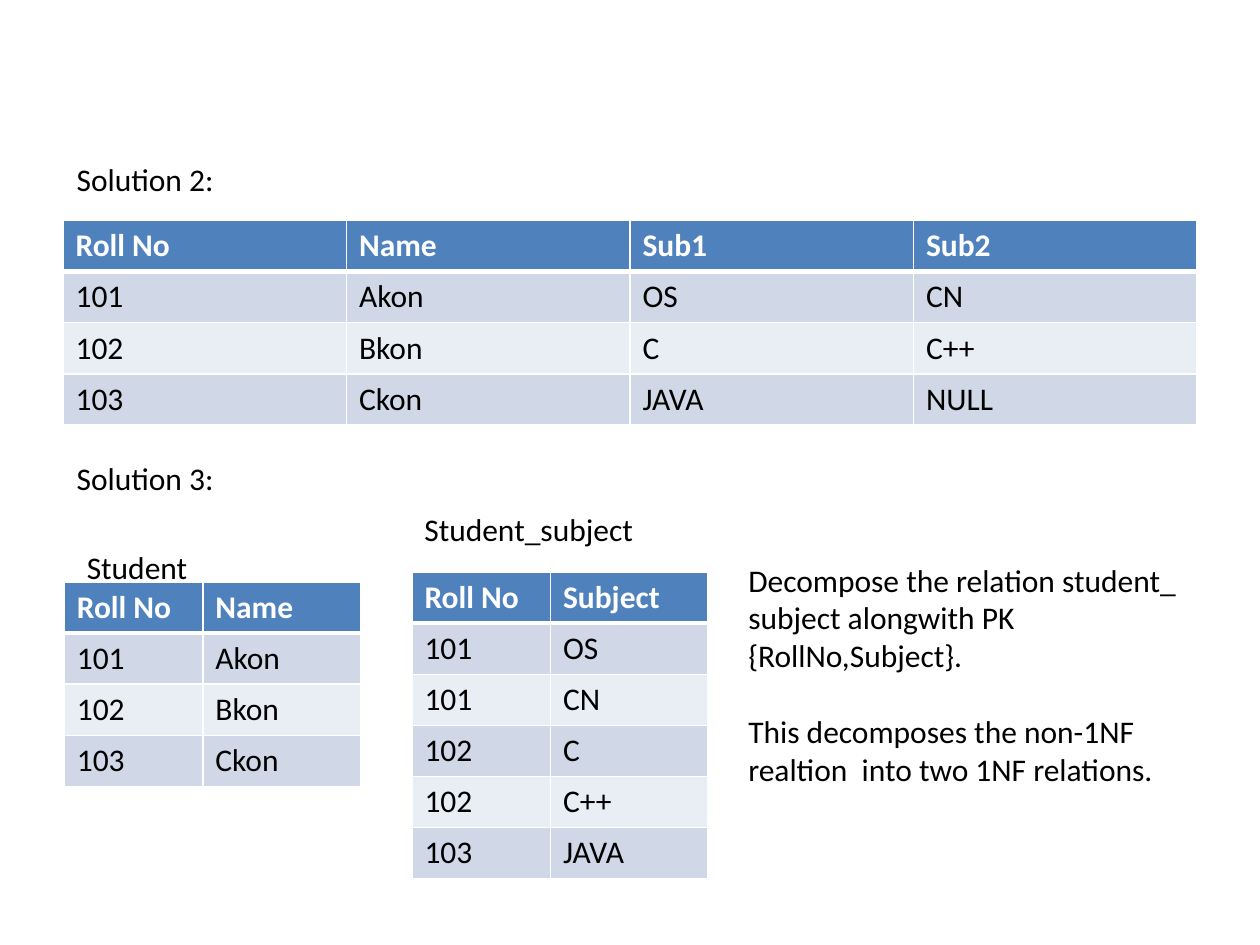
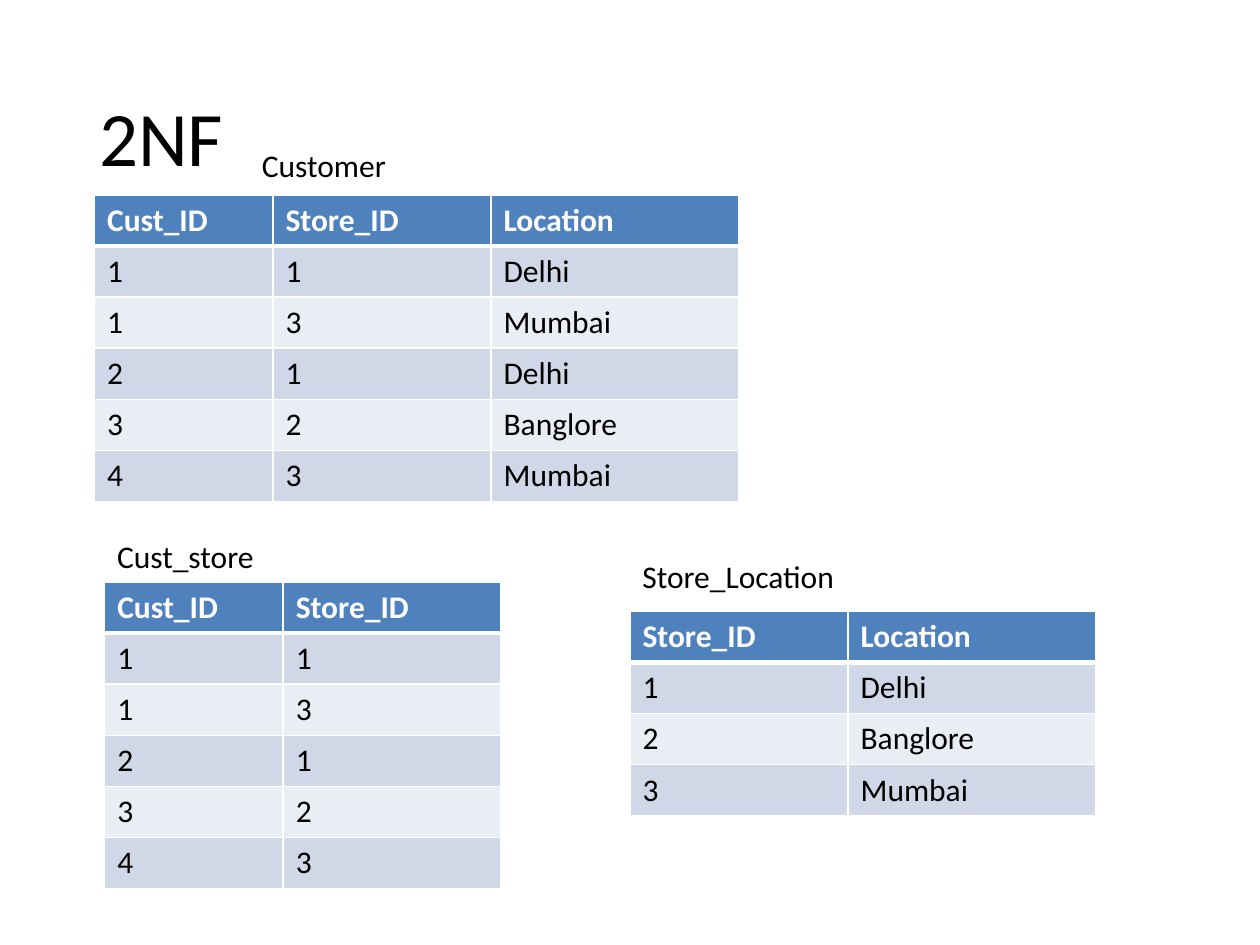
from pptx import Presentation
from pptx.dml.color import RGBColor
from pptx.enum.text import MSO_ANCHOR, MSO_AUTO_SIZE
from pptx.oxml import parse_xml
from pptx.oxml.ns import nsdecls
from pptx.util import Pt

MIDDLE, TOP = MSO_ANCHOR.MIDDLE, MSO_ANCHOR.TOP
FIT_SHAPE, FIXED = MSO_AUTO_SIZE.SHAPE_TO_FIT_TEXT, MSO_AUTO_SIZE.NONE

BLACK = RGBColor(0x00, 0x00, 0x00)
WHITE = RGBColor(0xFF, 0xFF, 0xFF)
HEADER = RGBColor(0x4F, 0x81, 0xBD)
BANDS = RGBColor(0xD0, 0xD8, 0xE8), RGBColor(0xE9, 0xED, 0xF4)
FONT = "Calibri"
ROW_H = 29.2
LABEL_H = 29


def add_text(s, text, x, y, w, h=LABEL_H, size=18, wrap=False, anchor=TOP,
             fit=FIT_SHAPE, line_spacing=None, gaps=()):
    """Each line of text is a paragraph; gaps gives the space before it."""
    tf = s.shapes.add_textbox(Pt(x), Pt(y), Pt(w), Pt(h)).text_frame
    tf.word_wrap, tf.auto_size, tf.vertical_anchor = wrap, fit, anchor
    tf.text = text
    for p in tf.paragraphs:
        p.font.name, p.font.size, p.font.color.rgb = FONT, Pt(size), BLACK
        p.line_spacing = line_spacing
    for p, gap in zip(tf.paragraphs, gaps):
        if gap:
            p.space_before = Pt(gap)


def add_grid(s, x, y, widths, rows):
    """Table with a header row, banded body rows and white rules."""
    table = s.shapes.add_table(len(rows), len(widths), Pt(x), Pt(y),
                               Pt(sum(widths)), Pt(ROW_H * len(rows))).table
    for column, width in zip(table.columns, widths):
        column.width = Pt(width)
    for i, row in enumerate(rows):
        table.rows[i].height = Pt(ROW_H)
        for j, text in enumerate(row):
            cell = table.cell(i, j)
            for side in "LRTB":
                # The rule between header and body is the thick one.
                thick = (i, side) in ((0, "B"), (1, "T"))
                cell._tc.get_or_add_tcPr().append(parse_xml(
                    f'<a:ln{side} {nsdecls("a")} w="{Pt(3 if thick else 1)}">'
                    f'<a:solidFill><a:srgbClr val="{WHITE}"/></a:solidFill>'
                    f'</a:ln{side}>'))
            cell.fill.solid()
            cell.fill.fore_color.rgb = BANDS[(i - 1) % 2] if i else HEADER
            cell.text = text
            font = cell.text_frame.paragraphs[0].font
            font.name, font.size, font.bold = FONT, Pt(18), i == 0
            font.color.rgb = BLACK if i else WHITE


prs = Presentation()
prs.slide_width, prs.slide_height = Pt(720), Pt(540)
blank = prs.slide_layouts[6]

# Slide 1: reaching first normal form
s = prs.slides.add_slide(blank)
students = [("Roll No", "Name", "Sub1", "Sub2"),
            ("101", "Akon", "OS", "CN"),
            ("102", "Bkon", "C", "C++"),
            ("103", "Ckon", "JAVA", "NULL")]
student_subject = [("Roll No", "Subject"), ("101", "OS"), ("101", "CN"),
                   ("102", "C"), ("102", "C++"), ("103", "JAVA")]
student_widths = [79.2, 90]

add_grid(s, 36, 126, [162] * 4, students)
add_grid(s, 36.7, 332.6, student_widths, [row[:2] for row in students])
add_grid(s, 235.4, 326.9, student_widths, student_subject)
for label, x, y, w in [("Solution 2:", 36.7, 87.8, 93.6),
                       ("Solution 3:", 36.7, 258.5, 93.6),
                       ("Student", 42.5, 309.6, 72.7),
                       ("Student_subject", 235.4, 288, 135.4)]:
    add_text(s, label, x, y, w)
add_text(s, "Decompose the relation student_\n"
            "subject alongwith PK {RollNo,Subject}.\n"
            "This decomposes the non-1NF realtion  into two 1NF relations.",
         420.5, 316.8, 279.4, 138.2, wrap=True, gaps=(0, 0, 22))

# Slide 2: second normal form
s = prs.slides.add_slide(blank)
customers = [("Cust_ID", "Store_ID", "Location"),
             ("1", "1", "Delhi"),
             ("1", "3", "Mumbai"),
             ("2", "1", "Delhi"),
             ("3", "2", "Banglore"),
             ("4", "3", "Mumbai")]
store_location = [("Store_ID", "Location"), ("1", "Delhi"),
                  ("2", "Banglore"), ("3", "Mumbai")]
customer_widths = [102, 124.6, 141.8]

add_text(s, "2NF", 49.7, 28.8, 620.6, 104.4, size=44, wrap=True,
         anchor=MIDDLE, fit=FIXED, line_spacing=0.9)
add_grid(s, 54, 111.4, customer_widths, customers)
add_grid(s, 59.8, 332.6, customer_widths[:2], [row[:2] for row in customers])
add_grid(s, 360, 349.4, customer_widths[1:], store_location)
for label, x, y, w in [("Customer", 142.6, 79.9, 86.4),
                       ("Cust_store", 59.8, 303.3, 93.6),
                       ("Store_Location", 360, 314.6, 125.3)]:
    add_text(s, label, x, y, w)

prs.save("out.pptx")
